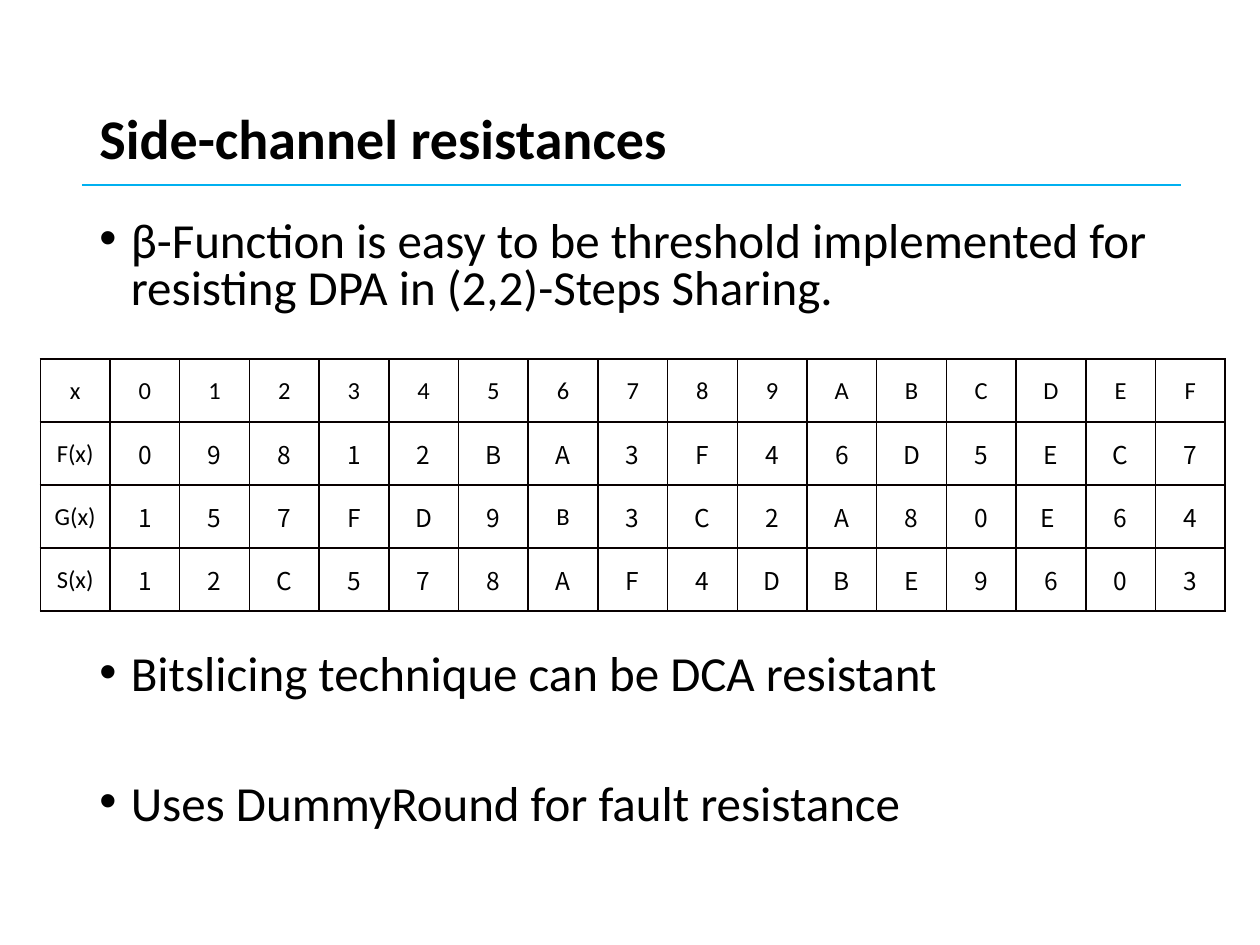
from lxml.etree import SubElement
from pptx import Presentation
from pptx.dml.color import RGBColor
from pptx.enum.shapes import MSO_CONNECTOR as Connector
from pptx.enum.text import MSO_ANCHOR as Anchor, PP_ALIGN as Align
from pptx.oxml.ns import qn
from pptx.util import Inches, Pt

BLACK = RGBColor(0x00, 0x00, 0x00)
BORDER = RGBColor(0x08, 0x00, 0x00)
SKY = RGBColor(0x00, 0xB0, 0xF0)
LATIN = "Calibri"
DIGITS = "Noto Sans CJK SC"

BULLETS = [
    ("β-Function is easy to be threshold implemented for resisting DPA in (2,2)-Steps Sharing.", 0),
    ("Bitslicing technique can be DCA resistant", 194),
    ("Uses DummyRound for fault resistance", 47),
]
FUNCTION_ROWS = [
    ["x", *"0123456789ABCDEF"],
    ["F(x)", *"09812BA3F46D5EC7"],
    ["G(x)", *"157FD9B3C2A80", "E ", *"64"],
    ["S(x)", *"12C578AF4DBE9603"],
]
LATIN_CELLS = {(2, 7)}


class SlideBuilder:
    """Holds the text style and the current slide, and adds each kind of element."""

    def __init__(self, slide):
        self.slide = slide
        self.style = {"name": LATIN, "bold": False}

    def apply(self, target, **formats):
        for name, value in formats.items():
            setattr(target, name, value)

    def add_text(self, paragraph, text, size, **formats):
        run = paragraph.add_run()
        run.text = text
        self.apply(run.font, **{**self.style, "size": Pt(size), **formats})
        run.font.color.rgb = BLACK

    def text_frame(self, left, top, width, height, anchor):
        box = self.slide.shapes.add_textbox(Inches(left), Inches(top), Inches(width), Inches(height))
        self.apply(box.text_frame, word_wrap=True, vertical_anchor=anchor)
        return box.text_frame

    def title(self, text, *place):
        paragraph = self.text_frame(*place, Anchor.MIDDLE).paragraphs[0]
        paragraph.line_spacing = 0.9
        self.add_text(paragraph, text, 32, bold=True)

    def bullets(self, items, *place):
        frame = self.text_frame(*place, Anchor.TOP)
        for index, (text, gap) in enumerate(items):
            paragraph = frame.add_paragraph() if index else frame.paragraphs[0]
            self.apply(paragraph, line_spacing=0.8, space_before=Pt(gap))
            properties = paragraph._p.get_or_add_pPr()
            properties.set("marL", str(Inches(0.25)))
            properties.set("indent", str(Inches(-0.25)))
            SubElement(properties, qn("a:buFont"), typeface="Arial")
            SubElement(properties, qn("a:buChar"), char="•")
            self.add_text(paragraph, text, 28)

    def rule(self, left, right, y):
        line = self.slide.shapes.add_connector(
            Connector.STRAIGHT, Inches(left), Inches(y), Inches(right), Inches(y))
        line.line.color.rgb = SKY
        line.line.width = Pt(1.5)
        SubElement(line._element.spPr, qn("a:effectLst"))

    def borders(self, cell):
        properties = cell._tc.get_or_add_tcPr()
        for side in ("lnL", "lnR", "lnT", "lnB"):
            line = SubElement(properties, qn(f"a:{side}"), w=str(Pt(1)))
            fill = SubElement(line, qn("a:solidFill"))
            SubElement(fill, qn("a:srgbClr"), val=str(BORDER))

    def table(self, rows, left, top, width, row_height):
        count = len(rows[0])
        table = self.slide.shapes.add_table(
            len(rows), count, Inches(left), Inches(top),
            Inches(width), Inches(row_height * len(rows))).table
        self.apply(table, first_row=False, horz_banding=False)
        for column in table.columns:
            column.width = Inches(width / count)
        for row, values in enumerate(rows):
            for column, value in enumerate(values):
                cell = table.cell(row, column)
                self.apply(cell, vertical_anchor=Anchor.MIDDLE, margin_top=0, margin_bottom=0,
                           margin_left=Inches(0.07), margin_right=Inches(0.07))
                self.borders(cell)
                cell.fill.background()
                paragraph = cell.text_frame.paragraphs[0]
                paragraph.alignment = Align.CENTER
                is_latin = row == 0 or column == 0 or (row, column) in LATIN_CELLS
                self.add_text(paragraph, value, 14, name=LATIN if is_latin else DIGITS)


def main():
    presentation = Presentation()
    presentation.slide_width = Inches(10)
    presentation.slide_height = Inches(7.5)
    builder = SlideBuilder(presentation.slides.add_slide(presentation.slide_layouts[6]))
    builder.title("Side-channel resistances", 0.69, 0.4, 8.62, 1.45)
    builder.bullets(BULLETS, 0.69, 1.7, 8.62, 5.58)
    builder.rule(0.65, 9.37, 1.47)
    builder.table(FUNCTION_ROWS, 0.32, 2.85, 9.41, 0.5)
    presentation.save("out.pptx")


if __name__ == "__main__":
    main()
